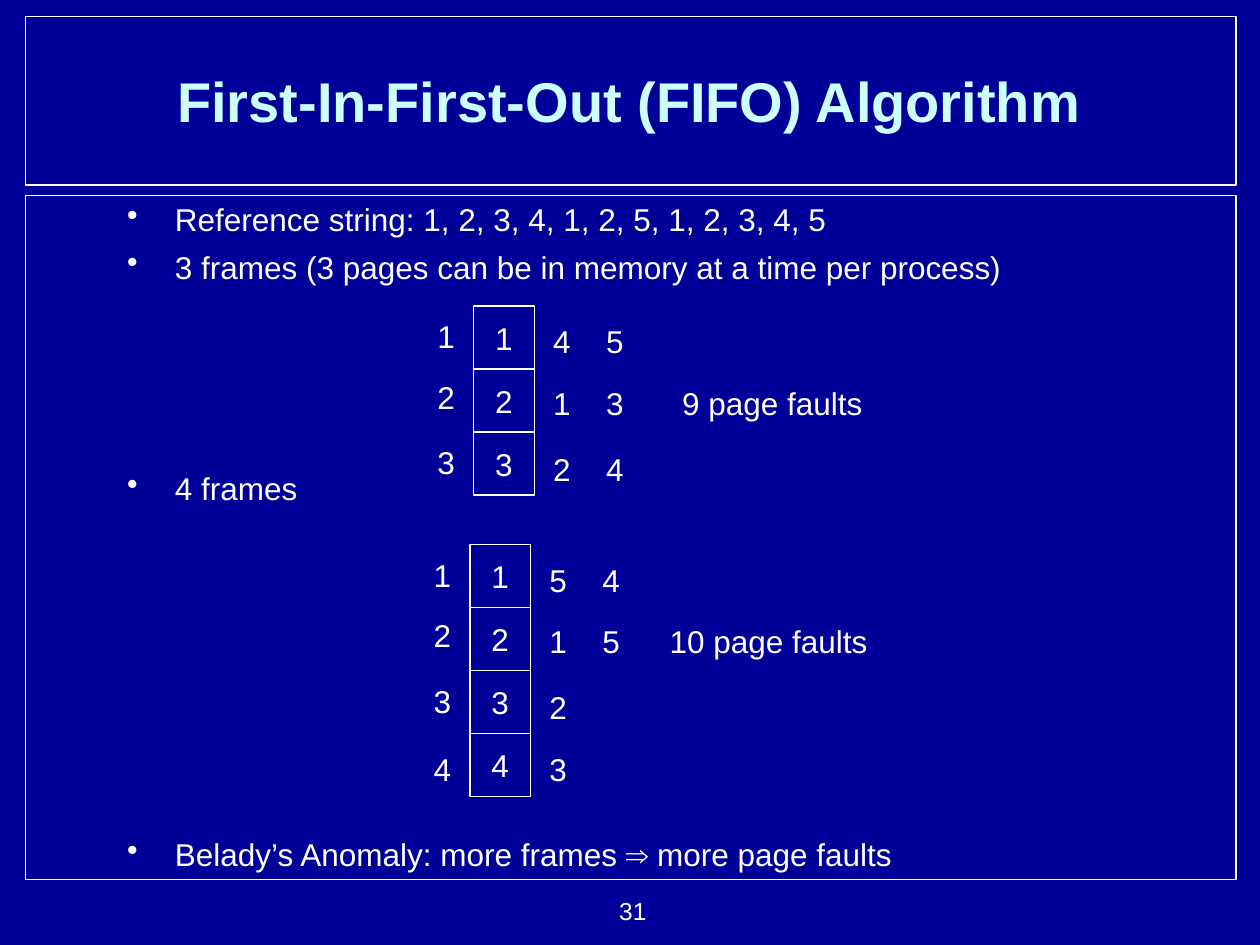
from dataclasses import dataclass

import pptx
import pptx.dml.color
import pptx.enum.shapes
import pptx.enum.text
import pptx.oxml
import pptx.oxml.ns
import pptx.util
from pptx.util import Inches

ALIGN = pptx.enum.text.PP_ALIGN
ANCHOR = pptx.enum.text.MSO_ANCHOR
RGB = pptx.dml.color.RGBColor.from_string


@dataclass(frozen=True)
class Theme:
    font: str = "Arial"
    background: str = "000099"
    text: str = "FFFFFF"
    title: str = "CCFFFF"
    title_size: int = 32
    body_size: int = 18
    number_size: int = 14
    line_width: float = 0.75


THEME = Theme()

# Frame diagram geometry, in inches from the top left of the frame column
FRAME_WIDTH, FRAME_HEIGHT = 0.48, 0.5
DIGIT_WIDTH, TEXT_HEIGHT = 0.34, 0.4
LABEL_LEFT = -0.39
PAGE_LEFTS = (0.53, 0.95)
LABEL_TOPS = (0.04, 0.52, 1.04, 1.58)
PAGE_TOPS = (0.08, 0.57, 1.09, 1.58)
FAULTS_CENTRE = 2.37

# Bullet text and the space before it, in points
BULLETS = (
    ("Reference string: 1, 2, 3, 4, 1, 2, 5, 1, 2, 3, 4, 5", 0),
    ("3 frames (3 pages can be in memory at a time per process)", 5.5),
    ("4 frames", 105),
    ("Belady’s Anomaly: more frames ⇒ more page faults", 187.5),
)


def apply(target, values):
    for name, value in values.items():
        setattr(target, name, value)


def format_font(para, size=THEME.body_size, color=THEME.text, bold=False):
    apply(para.font, {"name": THEME.font, "size": pptx.util.Pt(size), "bold": bold})
    para.font.color.rgb = RGB(color)


def write_line(shape, text, align=ALIGN.CENTER, wrap=False, **font):
    frame = shape.text_frame
    apply(frame, {"text": text, "word_wrap": wrap, "vertical_anchor": ANCHOR.MIDDLE,
                  "auto_size": pptx.enum.text.MSO_AUTO_SIZE.NONE})
    para = frame.paragraphs[0]
    para.alignment = align
    format_font(para, **font)


def add_text(page, text, left, top, width=DIGIT_WIDTH, height=TEXT_HEIGHT, **style):
    box = page.shapes.add_textbox(Inches(left), Inches(top), Inches(width), Inches(height))
    write_line(box, text, **style)


def add_rectangle(page, left, top, width, height, fill=None):
    shape = page.shapes.add_shape(
        pptx.enum.shapes.MSO_SHAPE.RECTANGLE,
        Inches(left), Inches(top), Inches(width), Inches(height))
    shape.shadow.inherit = False
    if fill:
        shape.fill.solid()
        shape.fill.fore_color.rgb = RGB(fill)
    else:
        shape.fill.background()
    shape.line.color.rgb = RGB(THEME.text)
    shape.line.width = pptx.util.Pt(THEME.line_width)
    return shape


def add_title(page, text):
    title = page.shapes.title
    apply(title, {"left": Inches(0.35), "top": Inches(0.17),
                  "width": Inches(9.29), "height": Inches(1.25)})
    write_line(title, text, wrap=True, size=THEME.title_size, color=THEME.title, bold=True)


def add_bullets(page, bullets):
    box = page.shapes.add_textbox(Inches(0.91), Inches(1.54), Inches(8.89), Inches(5.44))
    frame = box.text_frame
    frame.word_wrap = True
    for index, (text, space) in enumerate(bullets):
        para = frame.add_paragraph() if index else frame.paragraphs[0]
        para.text = text
        if space:
            para.space_before = pptx.util.Pt(space)
        properties = para._p.get_or_add_pPr()
        properties.set("marL", str(Inches(0.38)))
        properties.set("indent", str(-Inches(0.38)))
        properties.append(pptx.oxml.parse_xml(
            f'<a:buChar {pptx.oxml.ns.nsdecls("a")} char="•"/>'))
        format_font(para)


def add_frame_diagram(page, left, top, frame_count, page_columns, faults, faults_width):
    # Frame numbers beside the column of first loaded pages
    for index in range(frame_count):
        number = str(index + 1)
        cell = add_rectangle(page, left, top + index * FRAME_HEIGHT,
                             FRAME_WIDTH, FRAME_HEIGHT, THEME.background)
        write_line(cell, number)
        add_text(page, number, left + LABEL_LEFT, top + LABEL_TOPS[index])
    # Pages that replace them later
    for offset, column in zip(PAGE_LEFTS, page_columns):
        for number, row_top in zip(column, PAGE_TOPS):
            add_text(page, number, left + offset, top + row_top)
    add_text(page, faults, left + FAULTS_CENTRE - faults_width / 2,
             top + PAGE_TOPS[1], faults_width)


def main():
    deck = pptx.Presentation()
    deck.slide_width, deck.slide_height = Inches(10), Inches(7.5)
    page = deck.slides.add_slide(deck.slide_layouts[5])
    page.background.fill.solid()
    page.background.fill.fore_color.rgb = RGB(THEME.background)

    # Title and body panels
    for top, height in ((0.13, 1.34), (1.55, 5.43)):
        add_rectangle(page, 0.2, top, 9.61, height)

    # Text
    add_text(page, "31", 4.19, 7.06, 1.04, 0.34, align=ALIGN.RIGHT, wrap=True,
             size=THEME.number_size)
    add_title(page, "First-In-First-Out (FIFO) Algorithm")
    add_bullets(page, BULLETS)

    # Three frames, then four frames
    add_frame_diagram(page, 3.76, 2.43, 3, ("412", "534"), "9 page faults", 1.63)
    add_frame_diagram(page, 3.73, 4.32, 4, ("5123", "45"), "10 page faults", 1.77)

    deck.save("out.pptx")


if __name__ == "__main__":
    main()
